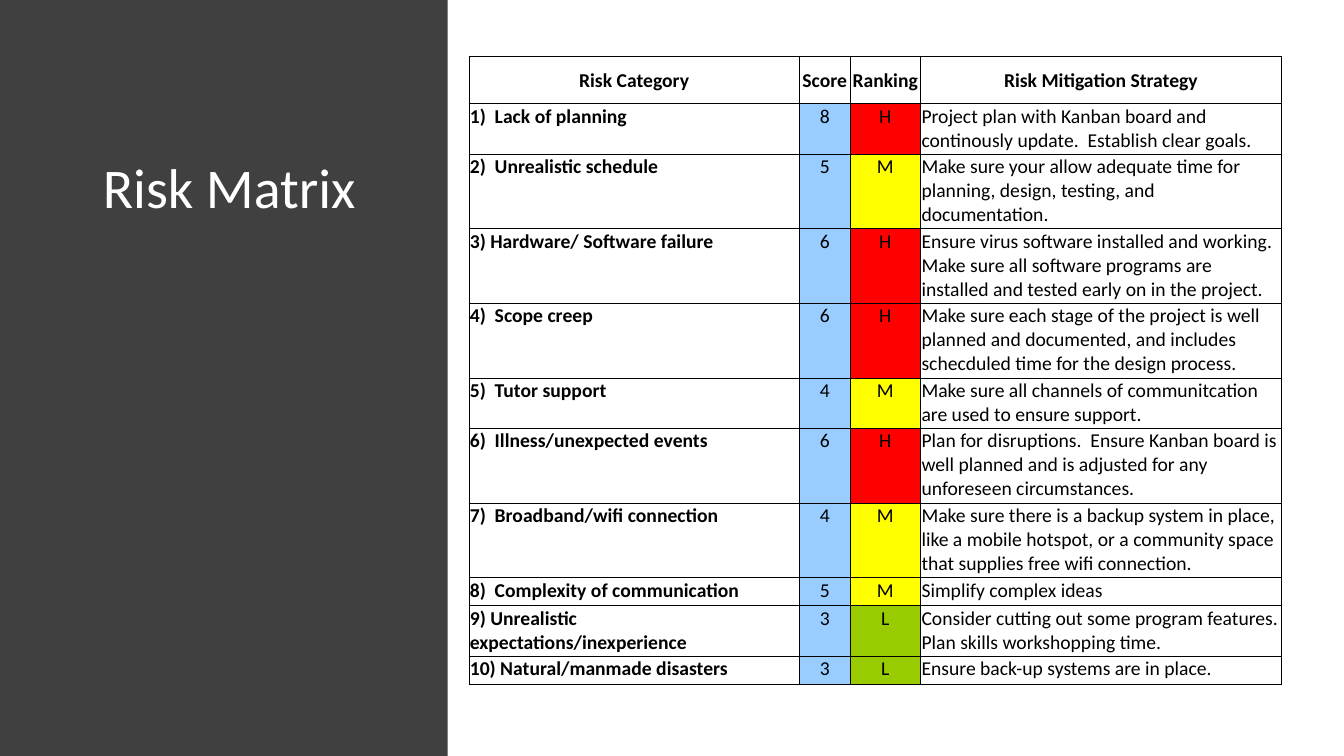
from lxml.etree import SubElement
from pptx import Presentation
from pptx.dml.color import RGBColor
from pptx.enum.shapes import MSO_SHAPE as Shape
from pptx.enum.text import MSO_ANCHOR as Anchor, MSO_AUTO_SIZE as AutoSize, PP_ALIGN as Align
from pptx.oxml.ns import qn
from pptx.util import Inches, Pt

BLACK = RGBColor(0x00, 0x00, 0x00)
WHITE = RGBColor(0xFF, 0xFF, 0xFF)
CHARCOAL = RGBColor(0x40, 0x40, 0x40)
SCORE_BLUE = RGBColor(0x99, 0xCC, 0xFF)
RANKING_COLORS = {
    "H": RGBColor(0xFF, 0x00, 0x00),
    "M": RGBColor(0xFF, 0xFF, 0x00),
    "L": RGBColor(0x99, 0xCC, 0x00),
}

HEADING = "Risk Matrix"
COLUMNS = [
    ("Risk Category", 3.28),
    ("Score", 0.5),
    ("Ranking", 0.7),
    ("Risk Mitigation Strategy", 3.58),
]
RISKS = [
    ("1)  Lack of planning", "8", "H",
     "Project plan with Kanban board and continously update.  Establish clear goals."),
    ("2)  Unrealistic schedule", "5", "M",
     "Make sure your allow adequate time for planning, design, testing, and documentation."),
    ("3) Hardware/ Software failure", "6", "H",
     "Ensure virus software installed and working.  Make sure all software programs are "
     "installed and tested early on in the project."),
    ("4)  Scope creep", "6", "H",
     "Make sure each stage of the project is well planned and documented, and includes "
     "schecduled time for the design process."),
    ("5)  Tutor support", "4", "M",
     "Make sure all channels of communitcation are used to ensure support."),
    ("6)  Illness/unexpected events", "6", "H",
     "Plan for disruptions.  Ensure Kanban board is well planned and is adjusted for any "
     "unforeseen circumstances."),
    ("7)  Broadband/wifi connection", "4", "M",
     "Make sure there is a backup system in place, like a mobile hotspot, or a community "
     "space that supplies free wifi connection."),
    ("8)  Complexity of communication", "5", "M", "Simplify complex ideas"),
    ("9) Unrealistic expectations/inexperience", "3", "L",
     "Consider cutting out some program features. Plan skills workshopping time."),
    ("10) Natural/manmade disasters", "3", "L", "Ensure back-up systems are in place."),
]
ROW_HEIGHTS = [0.47, 0.5, 0.74, 0.74, 0.74, 0.5, 0.74, 0.74, 0.28, 0.5, 0.28]

TITLE_BOX = {"left": Inches(0.92), "top": Inches(1.54),
             "width": Inches(3.17), "height": Inches(4.77)}
TITLE_FRAME = {"word_wrap": True, "auto_size": AutoSize.NONE, "vertical_anchor": Anchor.TOP}
TITLE_FONT = {"name": "Calibri", "size": Pt(40), "bold": False}
CELL_FONT = {"name": "Calibri", "size": Pt(14)}
CELL_MARGINS = {"margin_left": Inches(0.01), "margin_right": Inches(0.01),
                "margin_top": Inches(0.01), "margin_bottom": 0}


def apply(target, values):
    for attribute, value in values.items():
        setattr(target, attribute, value)


def add_borders(cell):
    properties = cell._tc.get_or_add_tcPr()
    for side in ("a:lnL", "a:lnR", "a:lnT", "a:lnB"):
        border = SubElement(properties, qn(side), w=str(Pt(0.5)))
        fill = SubElement(border, qn("a:solidFill"))
        SubElement(fill, qn("a:srgbClr"), val=str(BLACK))


def fill_cell(cell, text, row, column):
    is_header = row == 0
    apply(cell, CELL_MARGINS)
    cell.vertical_anchor = Anchor.MIDDLE if is_header else Anchor.TOP
    add_borders(cell)
    color = None
    if not is_header:
        color = {1: SCORE_BLUE, 2: RANKING_COLORS.get(text)}.get(column)
    if color:
        cell.fill.solid()
        cell.fill.fore_color.rgb = color
    else:
        cell.fill.background()
    line = cell.text_frame.paragraphs[0]
    line.alignment = Align.CENTER if is_header or column in (1, 2) else Align.LEFT
    words = line.add_run()
    words.text = text
    apply(words.font, {**CELL_FONT, "bold": is_header or column == 0})
    words.font.color.rgb = BLACK


def add_matrix(slide):
    widths = [width for _, width in COLUMNS]
    rows = [[name for name, _ in COLUMNS], *RISKS]
    matrix = slide.shapes.add_table(
        len(rows), len(COLUMNS), Inches(4.65), Inches(0.56),
        Inches(sum(widths)), Inches(sum(ROW_HEIGHTS))).table
    apply(matrix, {"first_row": False, "horz_banding": False})
    for column, width in zip(matrix.columns, widths):
        column.width = Inches(width)
    for row, height in zip(matrix.rows, ROW_HEIGHTS):
        row.height = Inches(height)
    for r, texts in enumerate(rows):
        for c, text in enumerate(texts):
            fill_cell(matrix.cell(r, c), text, r, c)


def main():
    deck = Presentation()
    apply(deck, {"slide_width": Inches(13.33), "slide_height": Inches(7.5)})
    slide = deck.slides.add_slide(deck.slide_layouts[5])

    panel = slide.shapes.add_shape(Shape.RECTANGLE, 0, 0, Inches(4.44), deck.slide_height)
    panel.shadow.inherit = False
    panel.fill.solid()
    panel.fill.fore_color.rgb = CHARCOAL
    panel.line.fill.background()

    title = slide.shapes.title
    title._element.addprevious(panel._element)
    apply(title, TITLE_BOX)
    title.text = HEADING
    apply(title.text_frame, TITLE_FRAME)
    heading = title.text_frame.paragraphs[0]
    apply(heading, {"alignment": Align.LEFT, "line_spacing": 0.9})
    apply(heading.runs[0].font, TITLE_FONT)
    heading.runs[0].font.color.rgb = WHITE

    add_matrix(slide)
    deck.save("out.pptx")


if __name__ == "__main__":
    main()
